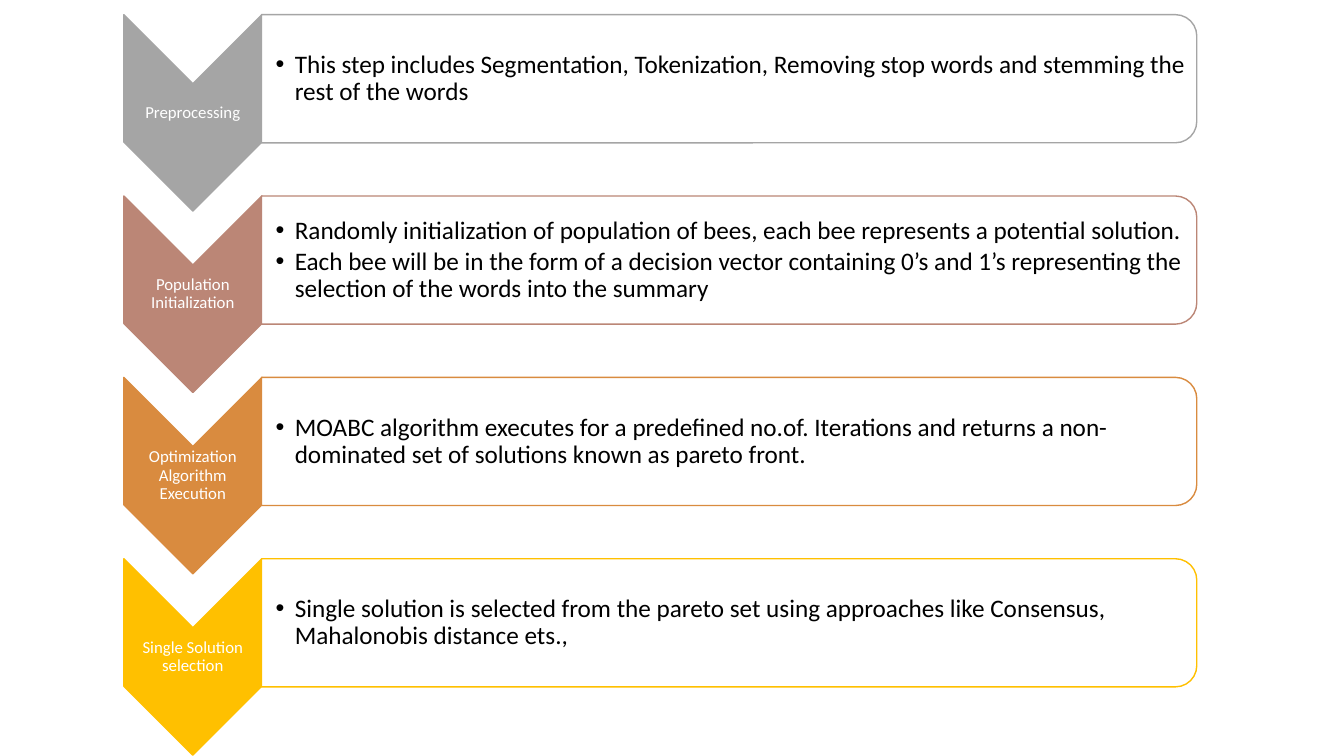
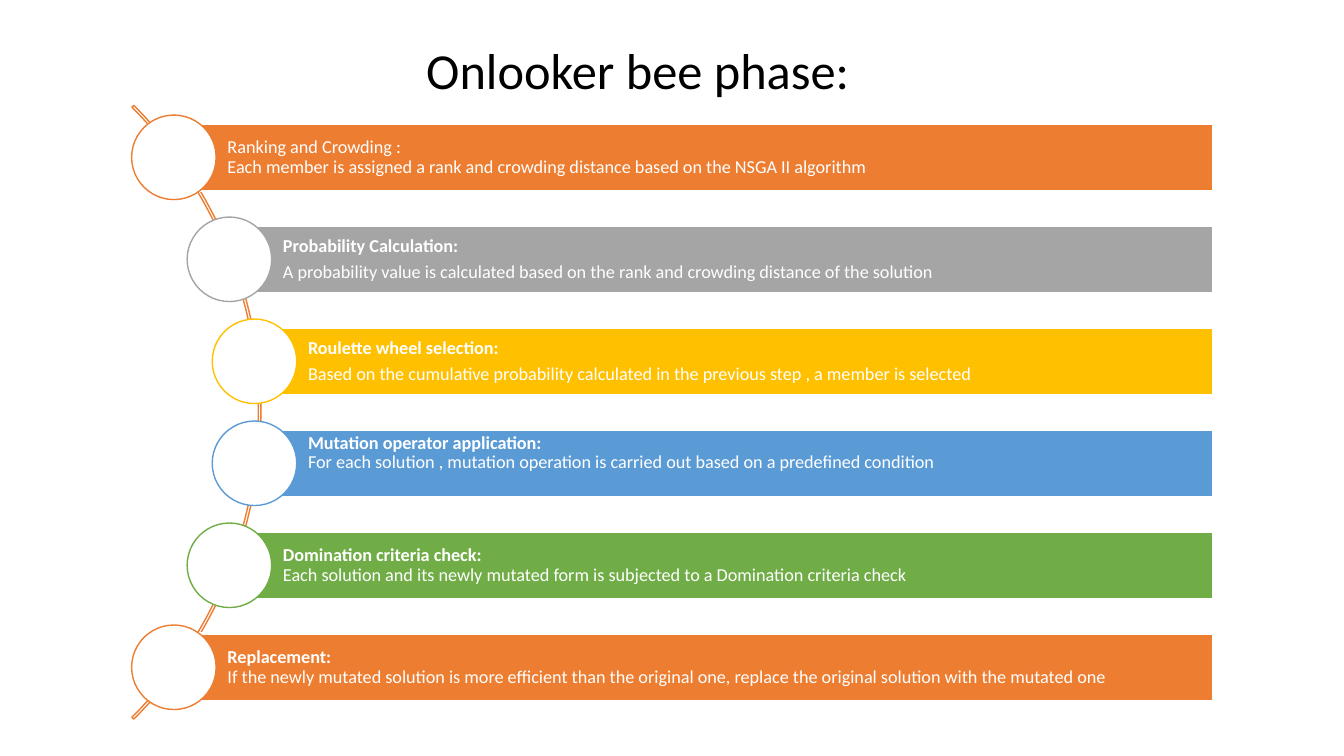
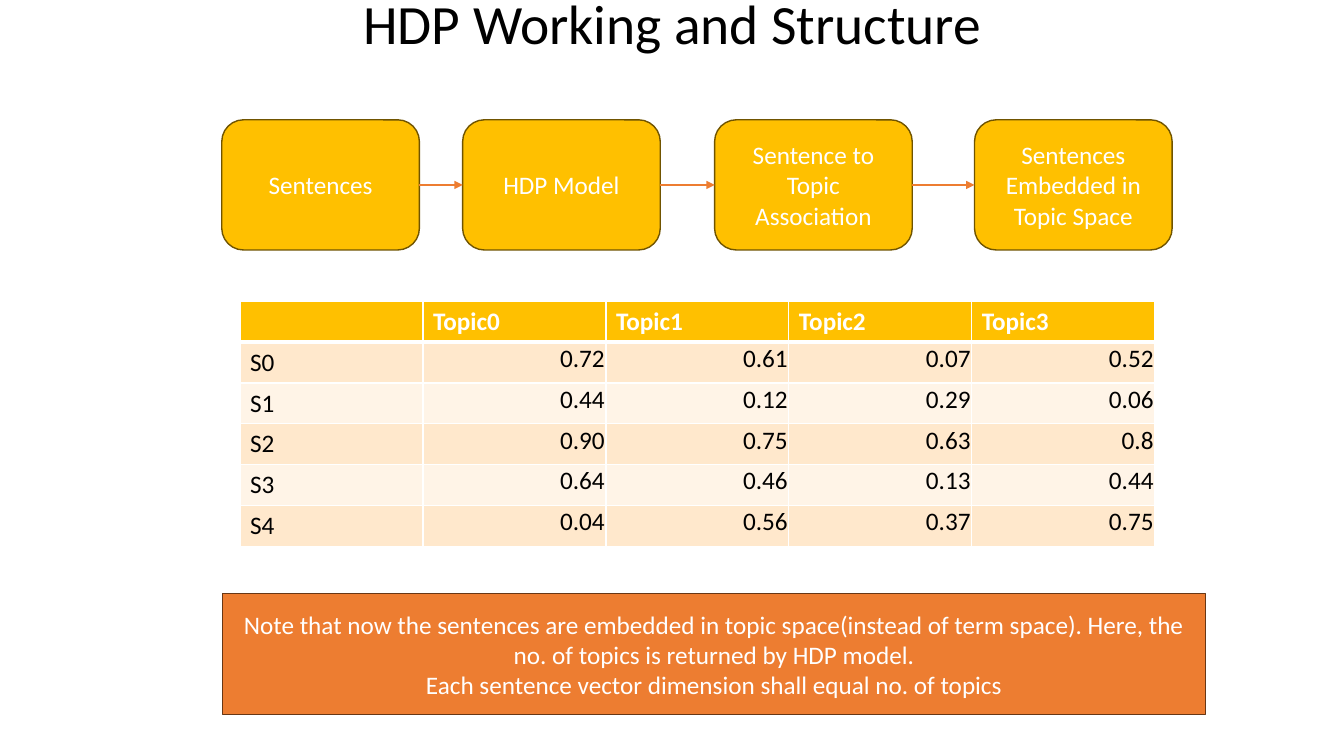
"""Build three slides on bee-colony summarization and the HDP model."""
import dataclasses
import math

import pptx
import pptx.chart.data
import pptx.dml.color
import pptx.enum.shapes
import pptx.enum.text
import pptx.oxml
import pptx.oxml.ns
import pptx.util

Cm = pptx.util.Cm
Pt = pptx.util.Pt
SHAPE = pptx.enum.shapes.MSO_SHAPE
ALIGN = pptx.enum.text.PP_ALIGN
ANCHOR = pptx.enum.text.MSO_ANCHOR


@dataclasses.dataclass(frozen=True)
class Theme:
    """Colours, font and type sizes shared by the slides."""
    font: str = "Calibri"
    white: str = "FFFFFF"
    black: str = "000000"
    orange: str = "ED7D31"
    grey: str = "A5A5A5"
    gold: str = "FFC000"
    blue: str = "5B9BD5"
    green: str = "70AD47"
    rose: str = "BB8676"
    amber: str = "D98B3F"
    gold_edge: str = "705400"
    orange_edge: str = "683715"
    row_dark: str = "FFE8CC"
    row_light: str = "FFF4E7"
    label: float = 12
    bar: float = 13
    body: float = 18
    title: float = 36
    large_title: float = 39.6


THEME = Theme()

STEPS = [
    ("Preprocessing", THEME.grey,
     "This step includes Segmentation, Tokenization, Removing stop words and stemming the "
     "rest of the words"),
    ("Population Initialization", THEME.rose,
     "Randomly initialization of population of bees, each bee represents a potential solution.\n"
     "Each bee will be in the form of a decision vector containing 0’s and 1’s representing the "
     "selection of the words into the summary"),
    ("Optimization Algorithm Execution", THEME.amber,
     "MOABC algorithm executes for a predefined no.of. Iterations and returns a non-dominated "
     "set of solutions known as pareto front."),
    ("Single Solution selection", THEME.gold,
     "Single solution is selected from the pareto set using approaches like Consensus, "
     "Mahalonobis distance ets.,"),
]

PHASES = [
    ("Ranking and Crowding :\vEach member is assigned a rank and crowding distance based on "
     "the NSGA II algorithm", THEME.orange, False, ANCHOR.MIDDLE),
    ("Probability Calculation:\nA probability value is calculated based on the rank and "
     "crowding distance of the solution", THEME.grey, True, ANCHOR.MIDDLE),
    ("Roulette wheel selection:\nBased on the cumulative probability calculated in the "
     "previous step , a member is selected", THEME.gold, True, ANCHOR.MIDDLE),
    ("Mutation operator application:\vFor each solution , mutation operation is carried out "
     "based on a predefined condition", THEME.blue, True, ANCHOR.TOP),
    ("Domination criteria check:\vEach solution and its newly mutated form is subjected to a "
     "Domination criteria check", THEME.green, True, ANCHOR.MIDDLE),
    ("Replacement:\vIf the newly mutated solution is more efficient than the original one, "
     "replace the original solution with the mutated one", THEME.orange, True, ANCHOR.MIDDLE),
]

STAGES = [
    (5.59, "Sentences"),
    (11.66, "HDP Model"),
    (18.01, "Sentence to Topic Association"),
    (24.56, "Sentences Embedded in Topic Space"),
]

TOPIC_ROWS = [
    ["", "Topic0", "Topic1", "Topic2", "Topic3"],
    ["S0", "0.72", "0.61", "0.07", "0.52"],
    ["S1", "0.44", "0.12", "0.29", "0.06"],
    ["S2", "0.90", "0.75", "0.63", "0.8"],
    ["S3", "0.64", "0.46", "0.13", "0.44"],
    ["S4", "0.04", "0.56", "0.37", "0.75"],
]

NOTE = ("Note that now the sentences are embedded in topic space(instead of term space). Here, "
        "the no. of topics is returned by HDP model.\n"
        "Each sentence vector dimension shall equal no. of topics")


def rgb(color):
    """Turn a hex string into a colour."""
    return pptx.dml.color.RGBColor.from_string(color)


def add_xml(parent, tag, **attributes):
    """Append a DrawingML element and return it."""
    child = pptx.oxml.parse_xml(f'<a:{tag} {pptx.oxml.ns.nsdecls("a")}/>')
    for name, value in attributes.items():
        child.set(name, str(value))
    parent.append(child)
    return child


def add_bullet(para):
    """Give a paragraph a round bullet and a hanging indent."""
    properties = para._p.get_or_add_pPr()
    properties.set("marL", str(Cm(0.48)))
    properties.set("indent", str(-Cm(0.48)))
    add_xml(properties, "buFont", typeface="Arial")
    add_xml(properties, "buChar", char="•")


def write(frame, text, size, color, align=ALIGN.LEFT, spacing=None, after=0, bullets=False,
          bold=False):
    """Fill a text frame and format its paragraphs and runs."""
    frame.text = text
    frame.word_wrap = True
    for para in frame.paragraphs:
        if bullets:
            add_bullet(para)
        para.alignment = align
        if spacing:
            para.line_spacing = spacing
        para.space_before = Pt(0)
        para.space_after = Pt(after)
        for span in para.runs:
            span.font.name = THEME.font
            span.font.size = Pt(size)
            span.font.bold = bold
            span.font.color.rgb = rgb(color)


def set_insets(frame, left, other):
    """Set the left inset and one value for the other three sides, in centimetres."""
    frame.margin_left = Cm(left)
    frame.margin_top = frame.margin_right = frame.margin_bottom = Cm(other)


def add_box(slide, kind, left, top, width, height, fill, line, weight=1.0):
    """Add a flat preset shape; a fill of None leaves it open."""
    box = slide.shapes.add_shape(kind, Cm(left), Cm(top), Cm(width), Cm(height))
    box.shadow.inherit = False
    if fill:
        box.fill.solid()
        box.fill.fore_color.rgb = rgb(fill)
    else:
        box.fill.background()
    box.line.color.rgb = rgb(line)
    box.line.width = Pt(weight)
    box.text_frame.vertical_anchor = ANCHOR.MIDDLE
    return box


def add_turned_box(slide, kind, left, top, width, height, fill, line):
    """Add a shape turned a quarter so that it covers the given area."""
    shift = (width - height) / 2
    box = add_box(slide, kind, left + shift, top - shift, height, width, fill, line)
    box.rotation = 90
    return box


def add_text(slide, left, top, width, height, left_inset):
    """Add a middle-anchored text box and return its frame."""
    frame = slide.shapes.add_textbox(Cm(left), Cm(top), Cm(width), Cm(height)).text_frame
    frame.vertical_anchor = ANCHOR.MIDDLE
    set_insets(frame, left_inset, 0.03)
    return frame


def add_arrow(slide, start, end):
    """Join the right side of one box to the left side of the next."""
    arrow = slide.shapes.add_connector(pptx.enum.shapes.MSO_CONNECTOR.STRAIGHT, 0, 0, 0, 0)
    arrow.begin_connect(start, 3)
    arrow.end_connect(end, 1)
    arrow.line.color.rgb = rgb(THEME.orange)
    arrow.line.width = Pt(1.5)
    add_xml(arrow.line._get_or_add_ln(), "tailEnd", type="triangle")
    add_xml(arrow._element.spPr, "effectLst")


def set_title(slide, text, left, width, height, size):
    """Place and format the title at the top edge of the slide."""
    title = slide.shapes.title
    title.left, title.top, title.width, title.height = Cm(left), Cm(0), Cm(width), Cm(height)
    title.text_frame.auto_size = pptx.enum.text.MSO_AUTO_SIZE.NONE
    title.text_frame.vertical_anchor = ANCHOR.MIDDLE
    write(title.text_frame, text, size, THEME.black, ALIGN.CENTER, 0.9)


def add_borders(cell, bottom):
    """Draw white cell borders with the given bottom weight in points."""
    properties = cell._tc.get_or_add_tcPr()
    for tag, weight in (("lnL", 1), ("lnR", 1), ("lnT", 1), ("lnB", bottom)):
        line = add_xml(properties, tag, w=Pt(weight))
        add_xml(add_xml(line, "solidFill"), "srgbClr", val=THEME.white)


def add_topic_table(slide):
    """Add the table of topic weights per sentence."""
    columns = len(TOPIC_ROWS[0])
    table = slide.shapes.add_table(len(TOPIC_ROWS), columns, Cm(6.05), Cm(7.59),
                                   Cm(4.61 * columns), Cm(0.97 * len(TOPIC_ROWS))).table
    for row, values in enumerate(TOPIC_ROWS):
        header = row == 0
        fill = THEME.gold if header else (THEME.row_light, THEME.row_dark)[row % 2]
        for column, value in enumerate(values):
            cell = table.cell(row, column)
            number = not header and column > 0
            add_borders(cell, 3 if header else 1)
            cell.fill.solid()
            cell.fill.fore_color.rgb = rgb(fill)
            if number:
                cell.margin_left = cell.margin_top = cell.margin_right = Cm(0.03)
                cell.margin_bottom = Cm(0)
            write(cell.text_frame, value, THEME.body, THEME.white if header else THEME.black,
                  ALIGN.RIGHT if number else ALIGN.LEFT, bold=header)


def build_steps(slide):
    """Stack the processing steps as chevrons with text panels."""
    chevron_left, chevron_width, chevron_height = 3.12, 3.48, 4.95
    panel_left, panel_width, panel_height = 6.59, 23.57, 3.23
    label_height, text_height = 1.5, 2.92
    for index, (label, color, text) in enumerate(STEPS):
        top = 0.37 + 4.57 * index
        add_turned_box(slide, SHAPE.CHEVRON, chevron_left, top, chevron_width, chevron_height,
                       color, color)
        frame = add_text(slide, chevron_left, top + (chevron_height - label_height) / 2,
                         chevron_width, label_height, 0.03)
        write(frame, label, THEME.label, THEME.white, ALIGN.CENTER, 0.9)
        add_turned_box(slide, SHAPE.ROUND_2_SAME_RECTANGLE, panel_left, top, panel_width,
                       panel_height, THEME.white, color)
        frame = add_text(slide, panel_left, top + (panel_height - text_height) / 2,
                         panel_width - 0.15, text_height, 0.36)
        write(frame, text, THEME.body, THEME.black, spacing=0.9, after=2.7, bullets=True)


def build_phases(slide):
    """Set the onlooker phases along an arc."""
    set_title(slide, "Onlooker bee phase:", 1.47, 29.21, 3.68, THEME.title)
    center_x, center_y, arc_size, radius = -4.36, 10.39, 21.87, 10.85
    bar_right, bar_height, pitch, circle = 30.56, 1.7, 2.57, 2.13
    arc = add_box(slide, SHAPE.BLOCK_ARC, center_x - arc_size / 2, center_y - arc_size / 2,
                  arc_size, arc_size, None, THEME.orange)
    for index, value in enumerate((189, 27, 0.003)):
        arc.adjustments[index] = value
    for index, (text, color, bold, anchor) in enumerate(PHASES):
        offset = (index - (len(PHASES) - 1) / 2) * pitch
        left = center_x + math.sqrt(radius ** 2 - offset ** 2)
        middle = center_y + offset
        bar = add_box(slide, SHAPE.RECTANGLE, left, middle - bar_height / 2, bar_right - left,
                      bar_height, color, THEME.white, 1.5)
        set_insets(bar.text_frame, 1.35, 0.1)
        bar.text_frame.vertical_anchor = anchor
        write(bar.text_frame, text, THEME.bar, THEME.white, spacing=0.9, after=4.55)
        bar.text_frame.paragraphs[0].runs[0].font.bold = bold
        add_box(slide, SHAPE.OVAL, left - circle / 2, middle - circle / 2, circle, circle,
                THEME.white, color)


def build_structure(slide):
    """Show the HDP flow, its topic table and a note."""
    set_title(slide, "HDP Working and Structure", 2.34, 29.21, 1.32, THEME.large_title)
    boxes = []
    for left, text in STAGES:
        box = add_box(slide, SHAPE.ROUNDED_RECTANGLE, left, 3.02, 4.98, 3.28, THEME.gold,
                      THEME.gold_edge)
        write(box.text_frame, text, THEME.body, THEME.white, ALIGN.CENTER)
        boxes.append(box)
    for start, end in zip(boxes, boxes[1:]):
        add_arrow(slide, start, end)
    add_topic_table(slide)
    note = add_box(slide, SHAPE.RECTANGLE, 5.61, 14.96, 24.77, 3.05, THEME.orange,
                   THEME.orange_edge)
    write(note.text_frame, NOTE, THEME.body, THEME.white, ALIGN.CENTER)


def main():
    """Build and save the deck."""
    deck = pptx.Presentation()
    deck.slide_width, deck.slide_height = Cm(33.87), Cm(19.05)
    title_only, blank = deck.slide_layouts[5], deck.slide_layouts[6]
    for layout, build in ((blank, build_steps), (title_only, build_phases),
                          (title_only, build_structure)):
        build(deck.slides.add_slide(layout))
    deck.save("out.pptx")


if __name__ == "__main__":
    main()
